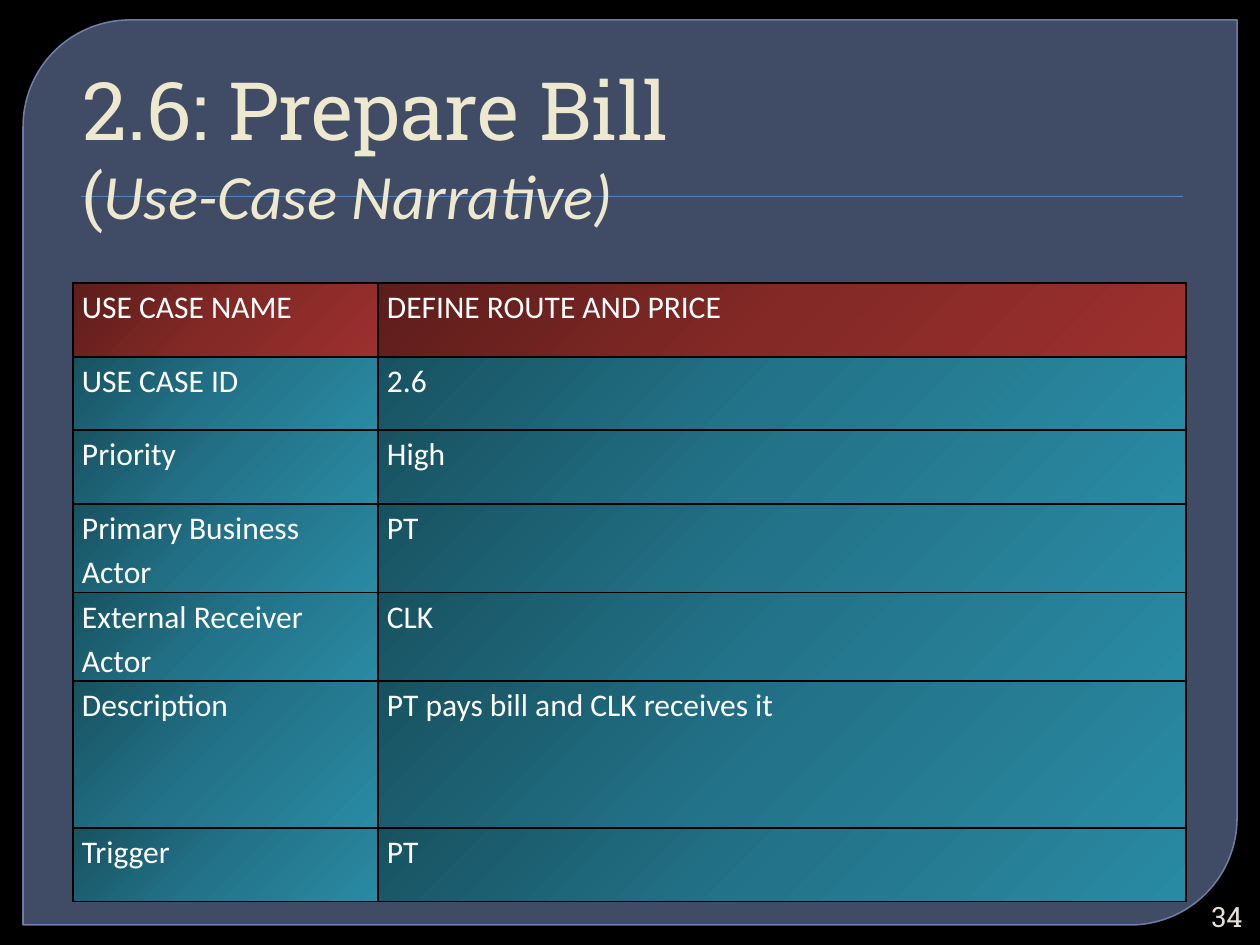
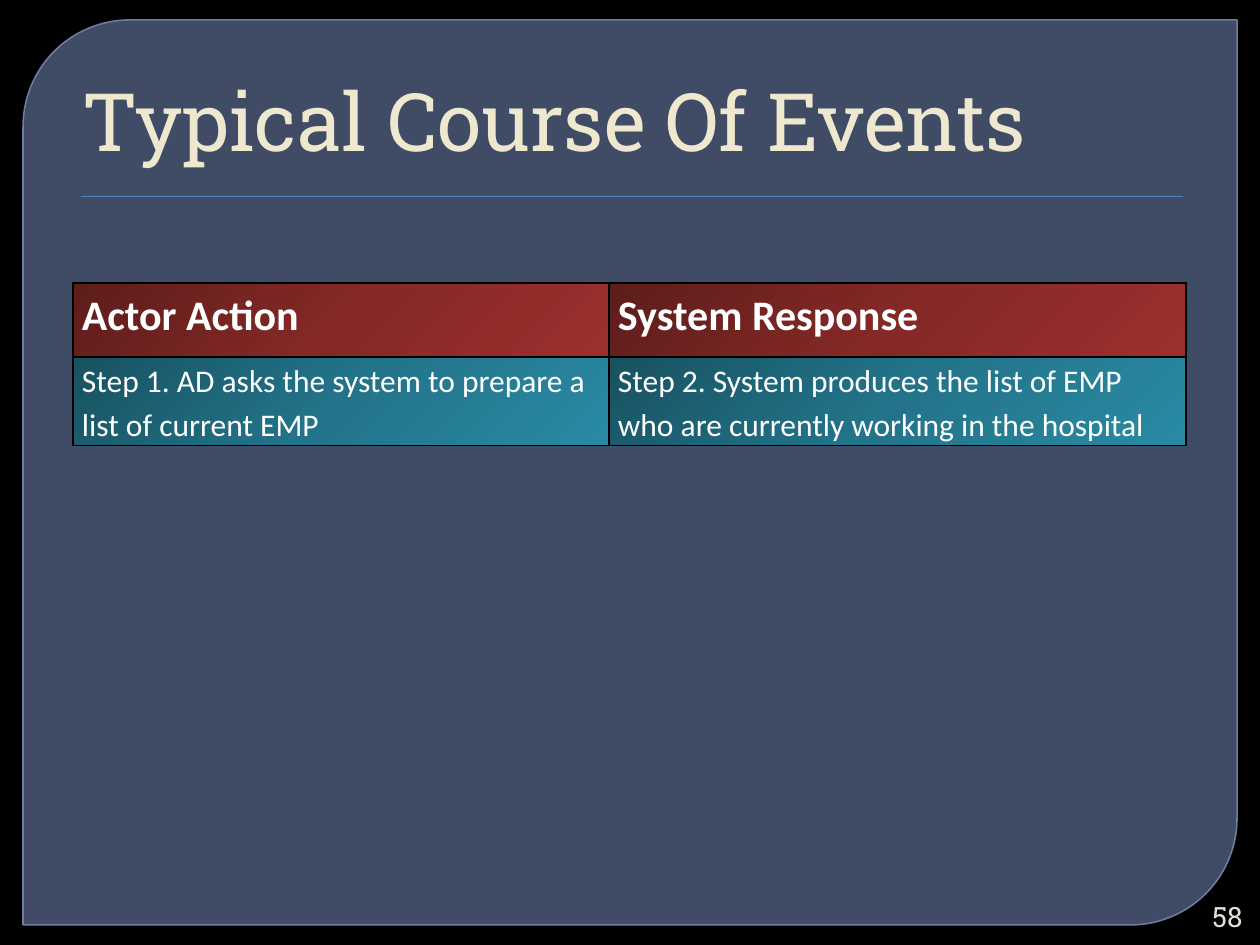
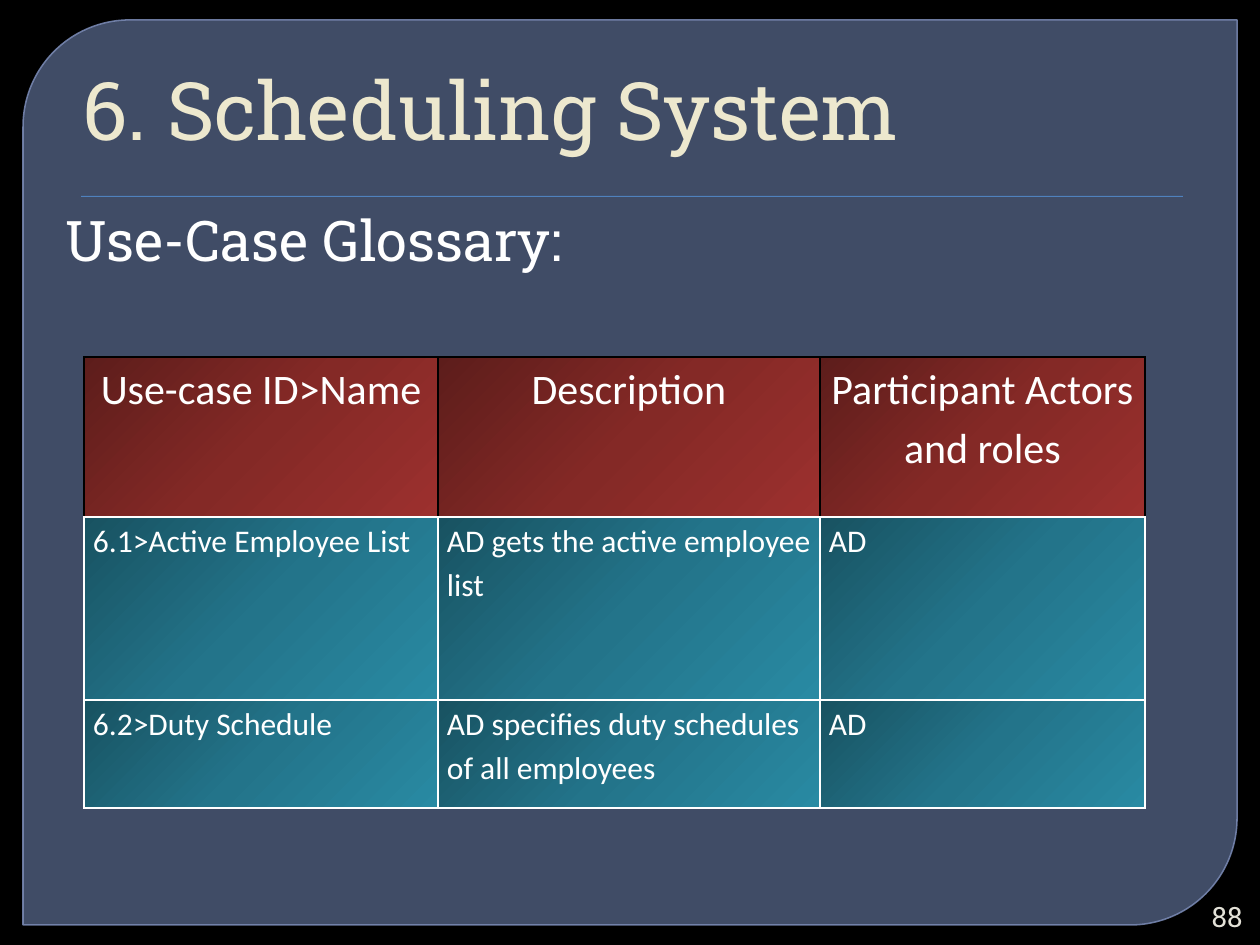
"""Build three use-case slides with a shared panel, title style and table style."""
import copy
from dataclasses import dataclass

from lxml import etree
from pptx import Presentation
from pptx import util as u
from pptx.dml.color import RGBColor
from pptx.enum import shapes, text
from pptx.oxml.ns import qn


@dataclass(frozen=True)
class Theme:
    heading_font: str = "Roboto Slab"
    body_font: str = "Calibri"
    background: str = "000000"
    panel: str = "63759D"
    panel_line: str = "7989B3"
    rule: str = "4F81BD"
    title: str = "EDE8CE"
    body: str = "FFFFFF"
    number: str = "E3E1D7"
    dark_border: str = "000000"
    light_border: str = "FFFFFF"
    header_gradient: tuple = ("5D1D1B", "842926", "9C302E")
    row_gradient: tuple = ("185261", "23748A", "298AA3")
    title_size: int = 46
    subtitle_size: int = 36
    lead_size: int = 32
    column_head_size: int = 24
    cell_size: int = 18
    number_size: int = 16


theme = Theme()
PX = u.Inches(1) / 126


def px(*lengths):
    return [u.Emu(round(length * PX)) for length in lengths]


def write(paragraph, words, *, size, color=theme.body, font=theme.heading_font,
          bold=False, italic=False, align=text.PP_ALIGN.LEFT, spacing=1.0):
    paragraph.alignment = align
    paragraph.line_spacing = spacing
    run = paragraph.add_run()
    run.text = words
    run.font.size = u.Pt(size)
    run.font.name = font
    run.font.bold = bold
    run.font.italic = italic
    run.font.color.rgb = RGBColor.from_string(color)


pages = [
    dict(
        title="2.6: Prepare Bill", subtitle="Use-Case Narrative)", title_top=35, title_height=197,
        number="34", table_at=(73, 283), columns=[305, 808],
        heights=[74, 73, 74, 73, 73, 147, 74],
        head=dict(size=theme.cell_size), head_border=theme.dark_border, border=theme.dark_border,
        rows=[
            ["USE CASE NAME", "DEFINE ROUTE AND PRICE"],
            ["USE CASE ID", "2.6"],
            ["Priority", "High"],
            ["Primary Business Actor", "PT"],
            ["External Receiver Actor", "CLK"],
            ["Description", "PT pays bill and CLK receives it"],
            ["Trigger", "PT"],
        ],
    ),
    dict(
        title="Typical Course Of Events", title_top=32, title_height=136,
        number="58", table_at=(73, 283), columns=[536, 577], heights=[74, 73],
        head=dict(size=theme.column_head_size, bold=True),
        head_border=theme.dark_border, border=theme.dark_border,
        rows=[
            ["Actor Action", "System Response"],
            ["Step 1. AD asks the system to prepare a list of current EMP",
             "Step 2. System produces the list of EMP who are currently working in the hospital"],
        ],
    ),
    dict(
        title="6. Scheduling System", title_top=-1, title_height=158, lead="Use-Case Glossary:",
        number="88", table_at=(84, 357), columns=[354, 382, 325], heights=[160, 183, 108],
        head=dict(size=theme.column_head_size, align=text.PP_ALIGN.CENTER),
        head_border=theme.dark_border, border=theme.light_border,
        rows=[
            ["Use-case ID>Name", "Description", "Participant Actors and roles"],
            ["6.1>Active Employee List", "AD gets the active employee list", "AD"],
            ["6.2>Duty Schedule", "AD specifies duty schedules of all employees", "AD"],
        ],
    ),
]

presentation = Presentation()
presentation.slide_width, presentation.slide_height = px(1260, 945)
master = presentation.slide_master
master.background.fill.solid()
master.background.fill.fore_color.rgb = RGBColor.from_string(theme.background)
slides = [presentation.slides.add_slide(presentation.slide_layouts[5]) for page in pages]

panel = slides[0].shapes.add_shape(
    shapes.MSO_SHAPE.ROUND_2_DIAG_RECTANGLE, *px(23, 20, 1214, 905))
panel.adjustments[0] = 0.118
panel.adjustments[1] = 0
panel.line.width = u.Pt(0.87)
panel.line.color.rgb = RGBColor.from_string(theme.panel_line)
rule = slides[0].shapes.add_shape(shapes.MSO_SHAPE.RECTANGLE, *px(81, 196, 1102, 1))
rule.line.fill.background()
first_placeholder = master.shapes[0].element
for shape_id, shape, fill in ((101, panel, theme.panel), (102, rule, theme.rule)):
    shape.shadow.inherit = False
    shape.fill.solid()
    shape.fill.fore_color.rgb = RGBColor.from_string(fill)
    next(shape.element.iter(qn("p:cNvPr"))).set("id", str(shape_id))
    first_placeholder.addprevious(shape.element)
for paint, opacity in zip(panel.element.iter(qn("a:srgbClr")), (65000, 88000)):
    etree.SubElement(paint, qn("a:alpha")).set("val", str(opacity))

for slide, page in zip(slides, pages):
    title = slide.shapes.title
    title.left, title.top, title.width, title.height = px(
        63, page["title_top"], 1134, page["title_height"])
    frame = title.text_frame
    frame.auto_size = text.MSO_AUTO_SIZE.NONE
    frame.word_wrap = True
    frame.vertical_anchor = text.MSO_ANCHOR.BOTTOM
    frame.margin_left, frame.margin_right, frame.margin_bottom = px(20, 0, 0)
    heading = frame.paragraphs[0]
    write(heading, page["title"], size=theme.title_size, color=theme.title)
    if "subtitle" in page:
        heading.add_line_break()
        write(heading, "(", size=theme.subtitle_size, color=theme.title)
        write(heading, page["subtitle"], size=theme.subtitle_size, color=theme.title,
              font=theme.body_font, italic=True)

    if "lead" in page:
        lead = slide.shapes.add_textbox(*px(53, 199, 1134, 777))
        lead.text_frame.word_wrap = True
        write(lead.text_frame.paragraphs[0], page["lead"], size=theme.lead_size)

    rows, columns, heights = page["rows"], page["columns"], page["heights"]
    table_frame = slide.shapes.add_table(
        len(rows), len(columns), *px(*page["table_at"], sum(columns), sum(heights)))
    table = table_frame.table
    table.horz_banding = False
    for column, width in zip(table.columns, px(*columns)):
        column.width = width
    for row, height in zip(table.rows, px(*heights)):
        row.height = height

    cell_elements = table_frame.element.iter(qn("a:tc"))
    for index, (cell, element) in enumerate(zip(table.iter_cells(), cell_elements)):
        row_index, column_index = divmod(index, len(columns))
        is_head = row_index == 0
        cell.margin_left, cell.margin_right, cell.margin_top, cell.margin_bottom = px(9, 9, 0, 0)
        style = page["head"] if is_head else dict(size=theme.cell_size)
        write(cell.text_frame.paragraphs[0], rows[row_index][column_index],
              font=theme.body_font, spacing=1.15, **style)

        cell.fill.gradient()
        cell.fill.gradient_angle = 315
        stop_list = next(element.iter(qn("a:gsLst")))
        stop_list.append(copy.deepcopy(stop_list[0]))
        gradient = theme.header_gradient if is_head else theme.row_gradient
        for stop, position, color in zip(cell.fill.gradient_stops, (0, 0.5, 1), gradient):
            stop.position = position
            stop.color.rgb = RGBColor.from_string(color)

        properties = element.get_or_add_tcPr()
        for order, side in enumerate(("lnL", "lnR", "lnT", "lnB")):
            border = etree.Element(qn(f"a:{side}"), w=str(u.Pt(1)))
            solid = etree.SubElement(border, qn("a:solidFill"))
            color = page["head_border"] if is_head and side != "lnB" else page["border"]
            etree.SubElement(solid, qn("a:srgbClr")).set("val", color)
            properties.insert(order, border)

    number = slide.shapes.add_textbox(*px(1191, 897, 64, 38))
    number.text_frame.word_wrap = True
    number.text_frame.vertical_anchor = text.MSO_ANCHOR.MIDDLE
    write(number.text_frame.paragraphs[0], page["number"], size=theme.number_size,
          color=theme.number, align=text.PP_ALIGN.RIGHT)

presentation.save("out.pptx")
